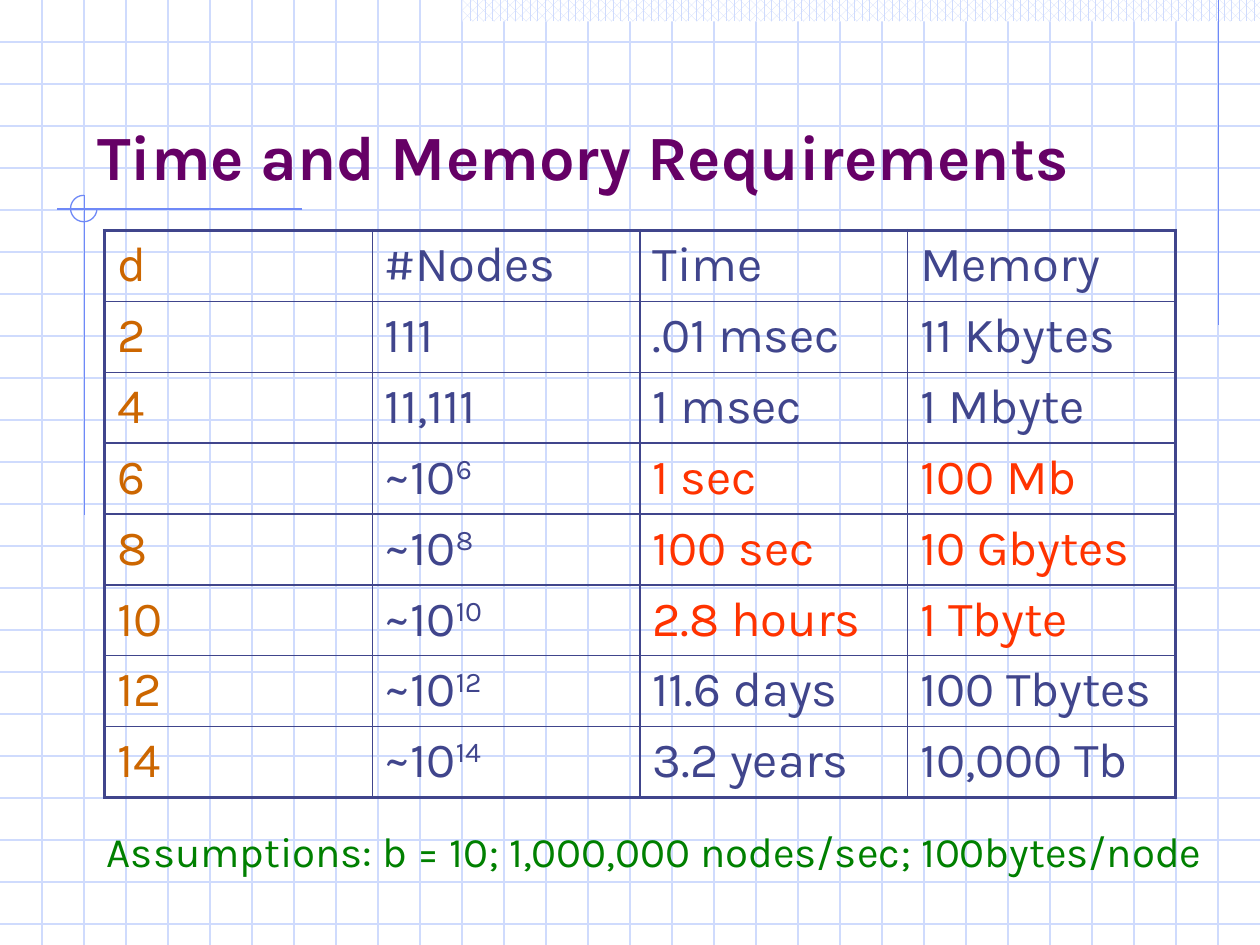
from lxml.etree import SubElement
from pptx import Presentation
from pptx.dml.color import RGBColor
from pptx.enum.dml import MSO_PATTERN
from pptx.enum.shapes import MSO_CONNECTOR, MSO_SHAPE
from pptx.enum.text import MSO_ANCHOR, MSO_AUTO_SIZE, PP_ALIGN
from pptx.oxml.ns import qn
from pptx.util import Inches, Pt

COLORS = {
    "grid": "CFDBFD", "accent": "6F89F7", "title": "660066", "depth": "CC6600",
    "body": "40458C", "alert": "FF3300", "note": "008000", "white": "FFFFFF",
}
FONT = "Karla"


def color(name):
    return RGBColor.from_string(COLORS[name])


def add_span(para, text, size, color_name, bold=False):
    span = para.add_run()
    span.text = text
    for key, value in {"name": FONT, "size": Pt(size), "bold": bold}.items():
        setattr(span.font, key, value)
    span.font.color.rgb = color(color_name)
    return span


deck = Presentation()
deck.slide_width, deck.slide_height = Inches(10), Inches(7.5)
page = deck.slides.add_slide(deck.slide_layouts[5])

# Background grid, one third of an inch apart, then the accent lines
lines = [(0, n / 3, 10, n / 3, "grid") for n in range(1, 23)]
lines += [(n / 3, 0, n / 3, 7.5, "grid") for n in range(1, 30)]
lines += [
    (9.67, 0, 9.67, 2.58, "accent"),
    (2.4, 1.66, 0.45, 1.66, "accent"),
    (0.67, 1.55, 0.67, 4.09, "accent"),
]

band = page.shapes.add_shape(
    MSO_SHAPE.RECTANGLE, Inches(3.67), 0, Inches(6.33), Inches(0.17))
band.shadow.inherit = False
band.fill.patterned()
band.fill.pattern = MSO_PATTERN.PERCENT_60
band.fill.fore_color.rgb = color("grid")
band.fill.back_color.rgb = color("white")
band.line.fill.background()

for *ends, color_name in lines:
    line = page.shapes.add_connector(
        MSO_CONNECTOR.STRAIGHT, *[Inches(value) for value in ends])
    line.line.color.rgb = color(color_name)
    line.line.width = Pt(0.75)
    SubElement(line._element.spPr, qn("a:effectLst"))
    if color_name == "grid":
        band._element.addprevious(line._element)

# Three quarters of a circle, open at the upper right
arc = page.shapes.add_shape(
    MSO_SHAPE.ARC, Inches(0.56), Inches(1.55), Inches(0.21), Inches(0.21))
arc.shadow.inherit = False
arc.adjustments[0] = 0
arc.adjustments[1] = 270 * 60000 / 100000
arc.fill.background()
arc.line.color.rgb = color("accent")
arc.line.width = Pt(0.75)

# Title, in front of the background
title = page.shapes.title
title_place = {"left": 0.67, "top": 0.33, "width": 8.5, "height": 1.25}
for key, value in title_place.items():
    setattr(title, key, Inches(value))
title.text_frame.vertical_anchor = MSO_ANCHOR.BOTTOM
title.text_frame.word_wrap = True
title.text_frame.auto_size = MSO_AUTO_SIZE.NONE
title_para = title.text_frame.paragraphs[0]
title_para.alignment = PP_ALIGN.LEFT
add_span(title_para, "Time and Memory Requirements", 36, "title", bold=True)
arc._element.addnext(title._element)

# Table: a caret marks the start of an exponent
ROWS = [
    ("d", "#Nodes", "Time", "Memory"),
    ("2", "111", ".01 msec", "11 Kbytes"),
    ("4", "11,111", "1 msec", "1 Mbyte"),
    ("6", "~10^6", "1 sec", "100 Mb"),
    ("8", "~10^8", "100 sec", "10 Gbytes"),
    ("10", "~10^10", "2.8 hours", "1 Tbyte"),
    ("12", "~10^12", "11.6 days", "100 Tbytes"),
    ("14", "~10^14", "3.2 years", "10,000 Tb"),
]
ALERT_ROWS = (3, 4, 5)
last_row, last_column = len(ROWS) - 1, len(ROWS[0]) - 1

table = page.shapes.add_table(
    len(ROWS), len(ROWS[0]), Inches(0.83), Inches(1.83), Inches(8.5), Inches(4.5)).table
table.first_row = table.horz_banding = False

for row, texts in enumerate(ROWS):
    for column, text in enumerate(texts):
        cell = table.cell(row, column)
        if column == 0:
            color_name = "depth"
        elif column > 1 and row in ALERT_ROWS:
            color_name = "alert"
        else:
            color_name = "body"
        para = cell.text_frame.paragraphs[0]
        para.space_before = Pt(5.6)
        base, _, exponent = text.partition("^")
        add_span(para, base, 28, color_name)
        if exponent:
            span = add_span(para, exponent, 28, color_name)
            span.font._element.set("baseline", "30000")

        outer_edges = {"lnL": column == 0, "lnR": column == last_column,
                       "lnT": row == 0, "lnB": row == last_row}
        properties = cell._tc.get_or_add_tcPr()
        for tag, is_outer in outer_edges.items():
            border = SubElement(properties, qn(f"a:{tag}"), w=str(Pt(2.25 if is_outer else 1)))
            fill = SubElement(border, qn("a:solidFill"))
            SubElement(fill, qn("a:srgbClr"), val=COLORS["body"])
        cell.fill.background()

note = page.shapes.add_textbox(Inches(0.75), Inches(6.5), Inches(8.97), Inches(0.5))
note.text_frame.word_wrap = False
note.text_frame.auto_size = MSO_AUTO_SIZE.SHAPE_TO_FIT_TEXT
add_span(note.text_frame.paragraphs[0],
         "Assumptions: b = 10; 1,000,000 nodes/sec; 100bytes/node", 24, "note")

deck.save("out.pptx")
